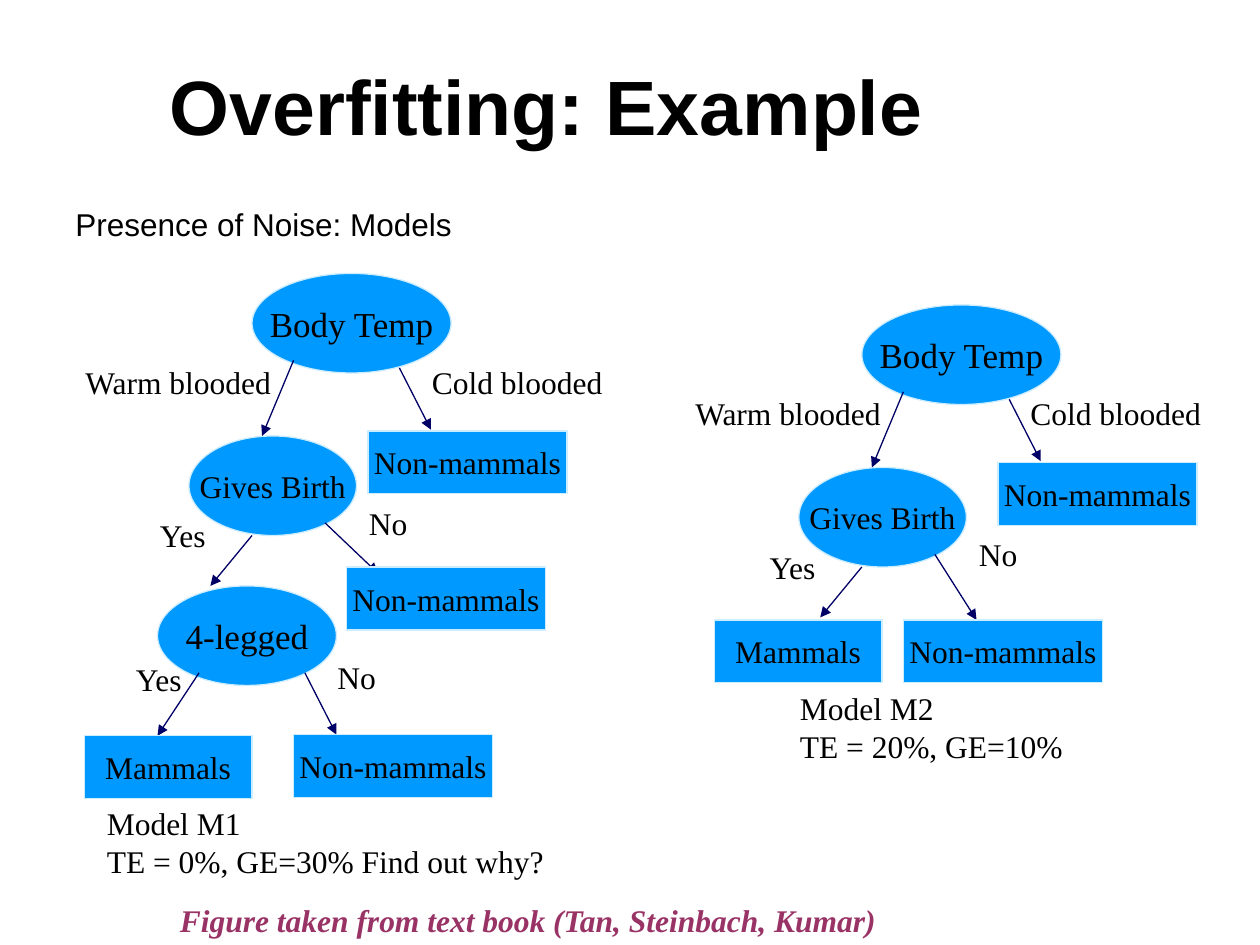
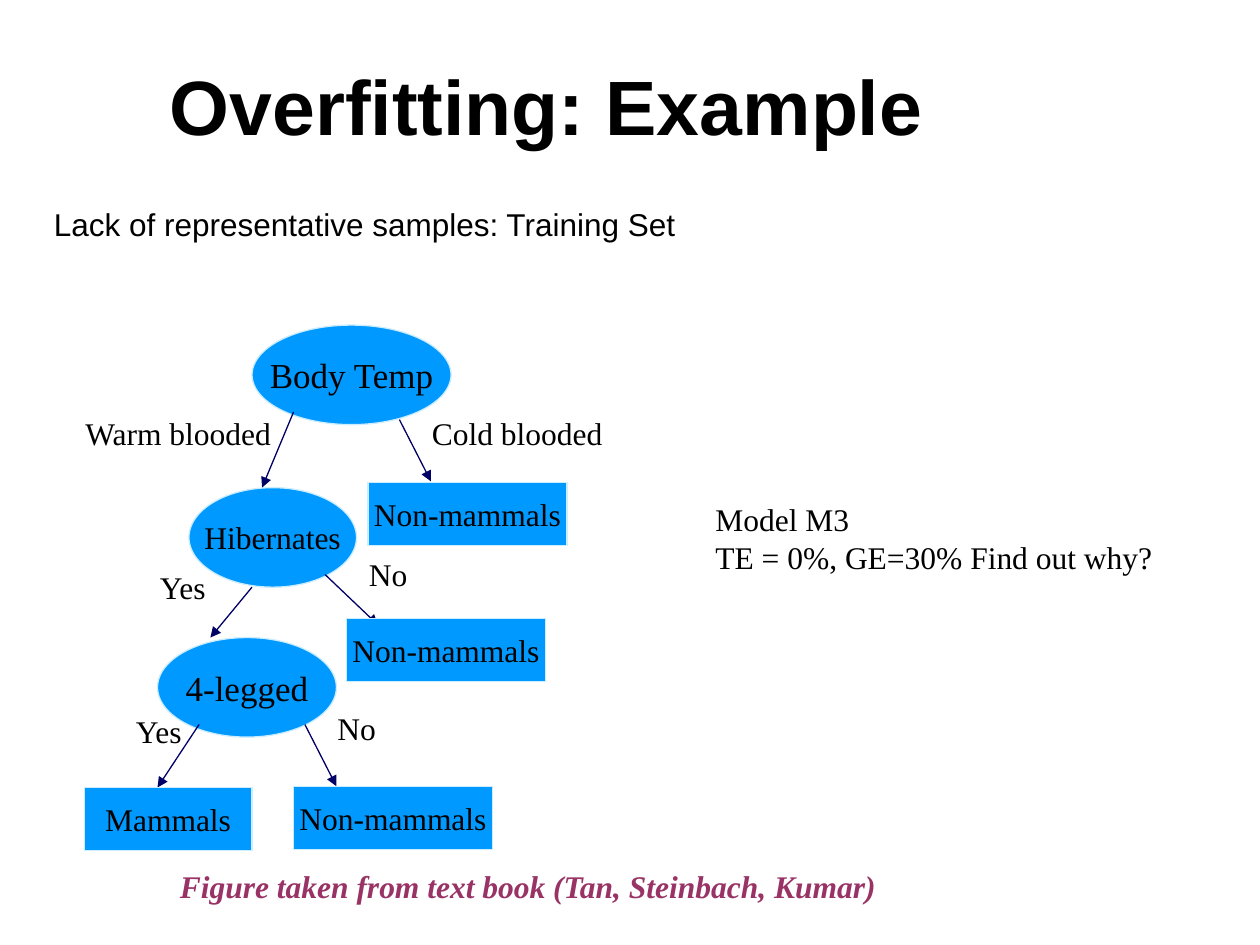
import pptx
import pptx.util
import pptx.dml.color
import pptx.enum.shapes
import pptx.enum.text
import pptx.oxml
import pptx.oxml.ns
from dataclasses import dataclass
from lxml import etree

Inches, Pt = pptx.util.Inches, pptx.util.Pt
Rgb = pptx.dml.color.RGBColor.from_string
Shape = pptx.enum.shapes.MSO_SHAPE
Anchor = pptx.enum.text.MSO_ANCHOR
Align = pptx.enum.text.PP_ALIGN
Fit = pptx.enum.text.MSO_AUTO_SIZE
qn = pptx.oxml.ns.qn


@dataclass(frozen=True)
class Theme:
    """Colours, fonts and sizes shared by the slides."""
    ink: str = "000000"
    node: str = "0099FF"
    edge: str = "CCECFF"
    arrow: str = "000066"
    credit: str = "993366"
    head: str = "Arial"
    body: str = "Times New Roman"
    title: int = 44
    large: int = 20
    text: int = 18
    line: float = 0.75


theme = Theme()
YES, NO = (0.57, 0.4), (0.51, 0.4)
SMALL, WIDE = (1.33, 0.5), (1.58, 0.5)


def write(frame, text, size=theme.text, face=theme.body, color=theme.ink,
          bold=False, slant=False, align=None):
    """Fill a text frame, one paragraph for each line."""
    frame.text = text
    for para in frame.paragraphs:
        para.alignment = align
        font = para.font
        font.name, font.size = face, Pt(size)
        font.bold, font.italic = bold, slant
        font.color.rgb = Rgb(color)


def label(shapes, box, text, wrap=False, grow=True, **style):
    """Place a text box and return its frame."""
    frame = shapes.add_textbox(*map(Inches, box)).text_frame
    frame.word_wrap = wrap
    frame.auto_size = Fit.SHAPE_TO_FIT_TEXT if grow else Fit.NONE
    write(frame, text, **style)
    return frame


def node(shapes, kind, box, text, size=theme.text):
    """Place a filled tree node with centred text."""
    shape = shapes.add_shape(kind, *map(Inches, box))
    shape.shadow.inherit = False
    shape.fill.solid()
    shape.fill.fore_color.rgb = Rgb(theme.node)
    shape.line.color.rgb = Rgb(theme.edge)
    shape.line.width = Pt(theme.line)
    frame = shape.text_frame
    frame.word_wrap = False
    frame.vertical_anchor = Anchor.MIDDLE
    write(frame, text, size, align=Align.CENTER)


def arrow(shapes, ends):
    """Draw a straight arrow between two points."""
    straight = pptx.enum.shapes.MSO_CONNECTOR.STRAIGHT
    link = shapes.add_connector(straight, *map(Inches, ends))
    link.line.color.rgb = Rgb(theme.arrow)
    link.line.width = Pt(theme.line)
    etree.SubElement(link.line._get_or_add_ln(), qn("a:tailEnd"), type="triangle")
    etree.SubElement(link._element.spPr, qn("a:effectLst"))


def tree(slide, left, top, test, deep=True):
    """Draw a decision tree from its top left corner, with two or three tests."""
    shapes = slide.shapes.add_group_shape().shapes

    def at(x, y, size):
        return (left + x, top + y, *size)

    lines = [(1.75, 0.69, 1.5, 1.29), (2.59, 0.75, 2.84, 1.24),
             (1.42, 2.08, 1.09, 2.48)]
    ovals = [(1.42, 0, 1.58, "Body Temp", theme.large),
             (0.92, 1.29, 1.33, test, theme.text)]
    words = [(0, 0.66, (1.69, 0.4), "Warm blooded"),
             (2.75 if deep else 2.66, 0.66, (1.57, 0.4), "Cold blooded"),
             (0.59, 1.88, YES, "Yes"), (2.25, 1.78, NO, "No")]
    if deep:
        lines += [(2, 1.98, 2.42, 2.38), (1, 3.17, 0.67, 3.67),
                  (1.84, 3.17, 2.09, 3.66)]
        ovals += [(0.67, 2.48, 1.42, "4-legged", theme.large)]
        words += [(0.4, 3.02, YES, "Yes"), (2, 3, NO, "No")]
        leaves = [(0.09, 3.67, SMALL), (1.75, 3.66, WIDE),
                  (2.17, 2.33, WIDE), (2.34, 1.25, WIDE)]
    else:
        lines += [(2, 1.98, 2.33, 2.5)]
        leaves = [(0.25, 2.5, SMALL), (1.75, 2.5, WIDE), (2.5, 1.25, WIDE)]

    for x, y, wide, text, size in ovals:
        node(shapes, Shape.OVAL, at(x, y, (wide, 0.79)), text, size)
    for x, y, endx, endy in lines:
        arrow(shapes, at(x, y, (left + endx, top + endy)))
    for x, y, size in leaves:
        text = "Mammals" if size == SMALL else "Non-mammals"
        node(shapes, Shape.RECTANGLE, at(x, y, size), text)
    for x, y, size, text in words:
        label(shapes, at(x, y, size), text)


def page(deck, topic, left, foot):
    """Add a slide with the shared title, its topic line and the credit."""
    slide = deck.slides.add_slide(deck.slide_layouts[6])
    frame = label(slide.shapes, (1.25, 0.33, 8.17, 0.92), "Overfitting: Example",
                  wrap=True, grow=False, size=theme.title, face=theme.head, bold=True)
    frame.vertical_anchor = Anchor.BOTTOM
    frame = label(slide.shapes, (left, 1.58, 9.17, 5.08), topic,
                  wrap=True, grow=False, face=theme.head)
    para = frame.paragraphs[0]
    para.space_before = Pt(0.2 * theme.text)
    props = para._p.get_or_add_pPr()
    props.set("marL", str(Inches(0.56)))
    props.set("indent", str(Inches(-0.56)))
    label(slide.shapes, (1.33, foot, 7.67, 0.4),
          "Figure taken from text book (Tan, Steinbach, Kumar)",
          wrap=True, color=theme.credit, bold=True, slant=True)
    return slide


def model(slide, box, name, rates):
    """Place a model's name over its error rates."""
    label(slide.shapes, box, f"{name}\n{rates}")


def main():
    """Build and save the deck."""
    deck = pptx.Presentation()
    deck.slide_width, deck.slide_height = Inches(10), Inches(7.5)
    why = "TE = 0%, GE=30% Find out why?"

    noise = page(deck, "Presence of Noise: Models", 0.5, 7.1)
    tree(noise, 0.58, 2.17, "Gives Birth")
    tree(noise, 5.42, 2.42, "Gives Birth", deep=False)
    model(noise, (0.75, 6.33, 3.7, 0.71), "Model M1", why)
    model(noise, (6.25, 5.42, 2.31, 1.01), "Model M2", "TE = 20%, GE=10%")

    lack = page(deck, "Lack of representative samples: Training Set", 0.33, 6.83)
    tree(lack, 0.58, 2.58, "Hibernates")
    model(lack, (5.58, 3.92, 3.7, 0.71), "Model M3", why)
    deck.save("out.pptx")


main()
